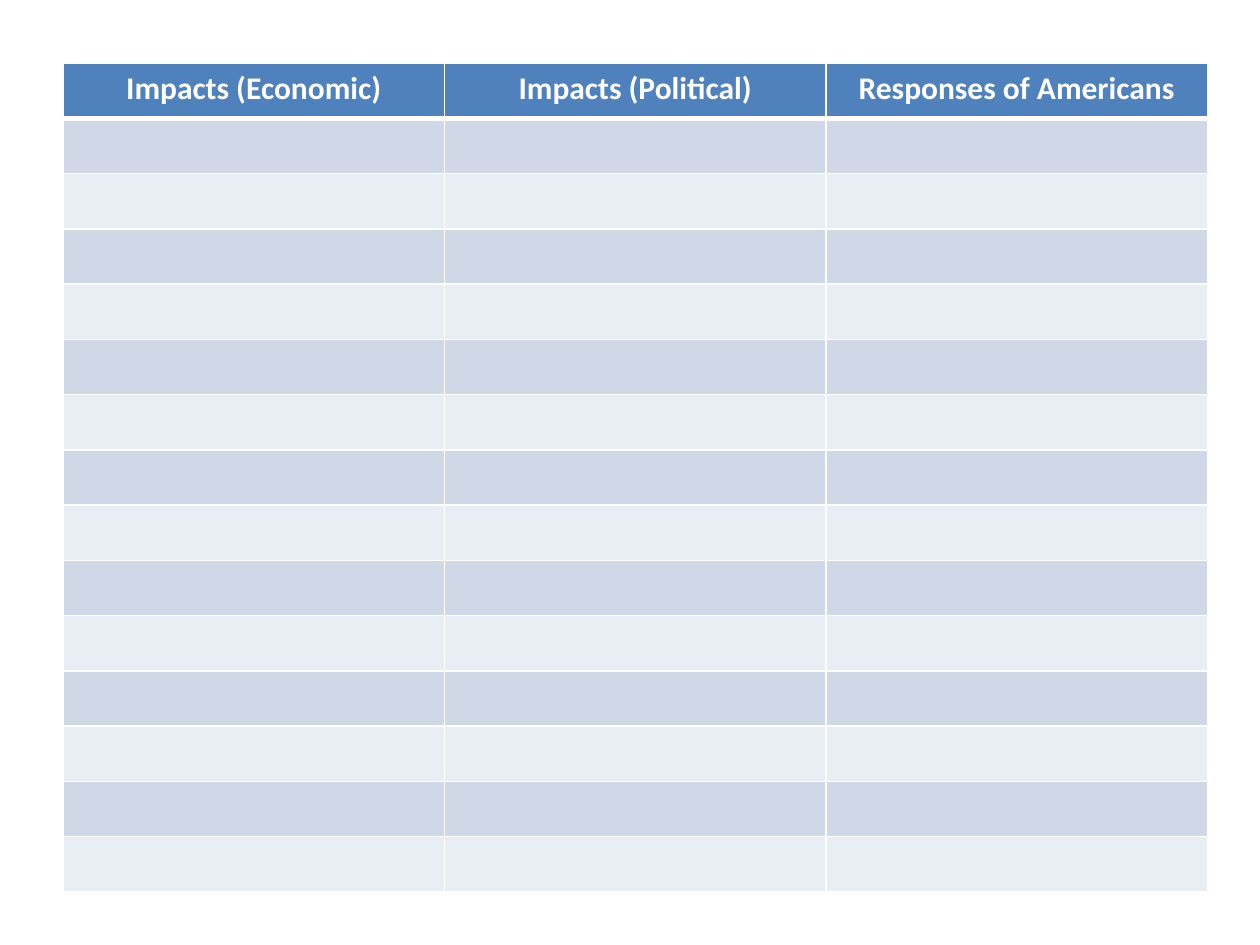
from lxml.etree import SubElement
from pptx import Presentation
from pptx.dml.color import RGBColor
from pptx.enum.text import PP_ALIGN
from pptx.oxml.ns import qn
from pptx.util import Pt


def paint(fill, color):
    fill.solid()
    fill.fore_color.rgb = RGBColor.from_string(color)


def edge(cell, side, width):
    """Draw a white border on one side (L, R, T or B) of a cell."""
    props = cell._tc.get_or_add_tcPr()
    line = SubElement(props, qn("a:ln" + side), w=str(Pt(width)))
    fill = SubElement(line, qn("a:solidFill"))
    SubElement(fill, qn("a:srgbClr"), val="FFFFFF")


heads = ["Impacts (Economic)", "Impacts (Political)", "Responses of Americans"]
style = {"name": "Calibri", "size": Pt(18), "bold": True}
bands = ["E9EDF4", "D0D8E8"]
count = 15
wide, high = 218, 31.6

deck = Presentation()
deck.slide_width, deck.slide_height = Pt(720), Pt(540)
slide = deck.slides.add_slide(deck.slide_layouts[6])

table = slide.shapes.add_table(
    count, len(heads), Pt(36), Pt(36), Pt(wide * len(heads)), Pt(high * count)
).table
for col in table.columns:
    col.width = Pt(wide)

for r, row in enumerate(table.rows):
    row.height = Pt(high)
    for cell in row.cells:
        widths = {"L": 1, "R": 1, "T": 3 if r == 1 else 1, "B": 3 if r == 0 else 1}
        for side, width in widths.items():
            edge(cell, side, width)
        paint(cell.fill, bands[r % 2] if r else "4F81BD")

for cell, head in zip(table.rows[0].cells, heads):
    cell.text = head
    para = cell.text_frame.paragraphs[0]
    para.alignment = PP_ALIGN.CENTER
    font = para.runs[0].font
    for key, value in style.items():
        setattr(font, key, value)
    paint(font.fill, "FFFFFF")

deck.save("out.pptx")
